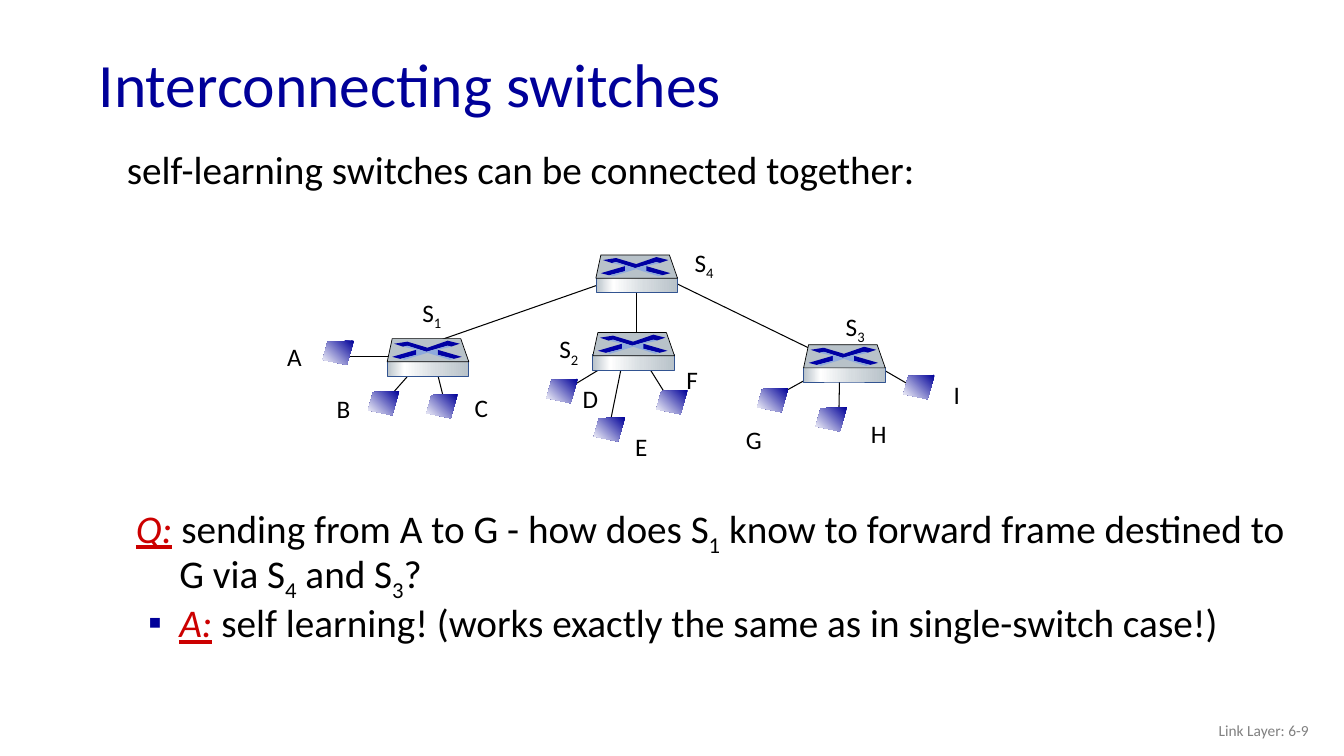
"""Build the slide on interconnecting self-learning switches."""
from dataclasses import dataclass
from typing import NamedTuple

from lxml.etree import SubElement
from pptx import Presentation
from pptx.dml.color import RGBColor
from pptx.enum.shapes import MSO_CONNECTOR as CONN, MSO_SHAPE as SHAPE
from pptx.enum.text import MSO_ANCHOR as ANCHOR, MSO_AUTO_SIZE as AUTO, PP_ALIGN as ALIGN
from pptx.oxml.ns import qn
from pptx.util import Pt

PX = 9144
COLORS = {
    "navy": "000099", "black": "000000", "gray": "808080", "red": "CC0000",
    "white": "FFFFFF", "steel": "B8C2C9", "silver": "D6DCE0", "edge": "325491",
    "arrow": "0000A3", "left_arrow": "0000A8", "band": "8FAADC",
}
Points = list[tuple[int, int]]
Stops = list[tuple[int, str]]


class Run(NamedTuple):
    text: str
    color: str = "black"
    lead: bool = False
    sub: bool = False


class Para(NamedTuple):
    runs: list[Run]
    hang: tuple[int, int] = (0, 0)
    bullet: str = ""
    before: float = 0


@dataclass
class TextBox:
    box: tuple[int, int, int, int]
    paras: list[Para]
    size: int
    spacing: float = 1.0
    anchor: ANCHOR = ANCHOR.TOP
    align: ALIGN = ALIGN.LEFT
    wrap: bool = True


class Label(NamedTuple):
    x: int
    y: int
    width: int
    text: str


class Link(NamedTuple):
    x1: int
    y1: int
    x2: int
    y2: int


class Part(NamedTuple):
    points: Points
    color: str
    outline: str = ""


TEXTS = [
    TextBox((88, 38, 1150, 98), [Para([Run("Interconnecting switches", "navy")])],
            44, 0.9, ANCHOR.MIDDLE),
    TextBox((1008, 705, 300, 40), [Para([Run("Link Layer: 6-9", "gray")])],
            11, 1.0, ANCHOR.MIDDLE, ALIGN.RIGHT),
    TextBox((116, 146, 862, 75),
            [Para([Run("self-learning switches can be connected together:")])], 28, 0.85),
    TextBox((118, 498, 1175, 183), [
        Para([Run("Q:", "red", lead=True), Run(" sending from A to G - how does S"),
              Run("1", sub=True), Run(" know to forward frame destined to G via S"),
              Run("4", sub=True), Run(" and S"), Run("3", sub=True), Run("?")], (50, -43)),
        Para([Run("A:", "red", lead=True),
              Run(" self learning! (works exactly the same as in single-switch case!)")],
             (50, -31), "▪", 5.6),
    ], 28, 0.85),
]
LABELS = [
    Label(275, 334, 35, "A"), Label(324, 385, 34, "B"), Label(461, 384, 34, "C"),
    Label(568, 375, 36, "D"), Label(620, 423, 32, "E"), Label(671, 357, 32, "F"),
    Label(730, 416, 36, "G"), Label(854, 410, 36, "H"), Label(936, 371, 27, "I"),
    Label(409, 290, 40, "S1"), Label(545, 326, 40, "S2"),
    Label(829, 304, 40, "S3"), Label(679, 240, 40, "S4"),
]
LINKS = [
    Link(404, 354, 344, 354), Link(416, 360, 386, 394), Link(432, 363, 440, 395),
    Link(607, 359, 569, 382), Link(617, 361, 604, 425), Link(637, 354, 662, 394),
    Link(824, 363, 777, 389), Link(833, 360, 832, 411), Link(873, 365, 904, 383),
    Link(598, 281, 432, 339), Link(631, 277, 631, 343), Link(812, 350, 658, 275),
]
HOSTS = [(320, 338), (365, 388), (423, 391), (542, 376), (589, 414),
         (651, 387), (751, 385), (809, 404), (896, 372)]
SWITCHES = [(591, 253), (797, 342), (588, 330), (384, 336)]
HOST_OUTLINE = [(31, 0), (5, 1), (0, 19), (24, 24)]
SWITCH_PARTS = [
    Part([(0, 23), (5, 0), (73, 0), (81, 23)], "steel", "black"),
    Part([(60, 2), (72, 5), (63, 8), (60, 7), (39, 13), (20, 7), (16, 8),
          (7, 5), (20, 3), (40, 9)], "arrow"),
    Part([(50, 11), (74, 18), (66, 20), (50, 16)], "arrow"),
    Part([(29, 11), (29, 16), (13, 20), (5, 18)], "left_arrow"),
    Part([(16, 8), (20, 7), (39, 13), (60, 7), (64, 8), (50, 11), (50, 16), (66, 20),
          (62, 21), (40, 14), (17, 21), (14, 20), (29, 16), (29, 11)], "band"),
]
HOST_STOPS = [(0, "navy"), (100, "white")]
BASE_STOPS = [(0, "steel"), (21, "white"), (60, "silver"), (100, "steel")]


def rgb(name: str) -> RGBColor:
    return RGBColor.from_string(COLORS[name])


def set_all(obj, values: dict) -> None:
    for name, value in values.items():
        setattr(obj, name, value)


def add_text(s, t: TextBox) -> None:
    tf = s.shapes.add_textbox(*(v * PX for v in t.box)).text_frame
    set_all(tf, {"auto_size": AUTO.NONE if t.wrap else AUTO.SHAPE_TO_FIT_TEXT,
                 "word_wrap": t.wrap, "vertical_anchor": t.anchor})
    for i, para in enumerate(t.paras):
        p = tf.add_paragraph() if i else tf.paragraphs[0]
        set_all(p, {"alignment": t.align, "line_spacing": t.spacing})
        if para.before:
            p.space_before = Pt(para.before)
        pPr = p._p.get_or_add_pPr()
        for name, value in zip(("marL", "indent"), para.hang):
            pPr.set(name, str(value * PX))
        if para.bullet:
            clr = SubElement(pPr, qn("a:buClr"))
            SubElement(clr, qn("a:srgbClr"), val=COLORS["navy"])
            SubElement(pPr, qn("a:buFont"), typeface="Arial")
            SubElement(pPr, qn("a:buChar"), char=para.bullet)
        for run in para.runs:
            r = p.add_run()
            r.text = run.text
            set_all(r.font, {"name": "Calibri", "size": Pt(t.size),
                             "italic": run.lead, "underline": run.lead})
            r.font.color.rgb = rgb(run.color)
            if run.sub:
                r._r.get_or_add_rPr().set("baseline", "-25000")


def add_label(s, label: Label) -> None:
    runs = [Run(c, sub=c.isdigit()) for c in label.text]
    box = (label.x, label.y, label.width, 40)
    add_text(s, TextBox(box, [Para(runs)], 18, wrap=False))


def add_link(s, link: Link) -> None:
    c = s.shapes.add_connector(CONN.STRAIGHT, *(v * PX for v in link))
    c.line.width = Pt(0.75)
    c.line.color.rgb = rgb("black")
    SubElement(c._element.spPr, qn("a:effectLst"))


def add_outline(s, x: int, y: int, points: Points):
    pts = [(x + dx, y + dy) for dx, dy in points]
    fb = s.shapes.build_freeform(*pts[0], scale=PX)
    fb.add_line_segments(pts[1:], close=True)
    return fb.convert_to_shape()


def set_outline(sp, color: str) -> None:
    sp.shadow.inherit = False
    if color:
        sp.line.color.rgb = rgb(color)
        sp.line.width = Pt(0.5)
    else:
        sp.line.fill.background()


def set_gradient(sp, stops: Stops, angle: int) -> None:
    sp.fill.gradient()
    sp.fill.gradient_angle = angle
    gs_list = sp._element.spPr.find(".//" + qn("a:gsLst"))
    for gs in list(gs_list):
        gs_list.remove(gs)
    for pos, color in stops:
        gs = SubElement(gs_list, qn("a:gs"), pos=str(pos * 1000))
        SubElement(gs, qn("a:srgbClr"), val=COLORS[color])


def add_host(s, x: int, y: int) -> None:
    sp = add_outline(s, x, y, HOST_OUTLINE)
    set_gradient(sp, HOST_STOPS, 225)
    set_outline(sp, "")


def add_switch(s, x: int, y: int) -> None:
    base = s.shapes.add_shape(SHAPE.RECTANGLE, x * PX, (y + 22) * PX, 81 * PX, 15 * PX)
    set_gradient(base, BASE_STOPS, 0)
    set_outline(base, "edge")
    for part in SWITCH_PARTS:
        sp = add_outline(s, x, y, part.points)
        sp.fill.solid()
        sp.fill.fore_color.rgb = rgb(part.color)
        set_outline(sp, part.outline)


def main() -> None:
    prs = Presentation()
    set_all(prs, {"slide_width": 1333 * PX, "slide_height": 750 * PX})
    s = prs.slides.add_slide(prs.slide_layouts[6])
    for t in TEXTS:
        add_text(s, t)
    for link in LINKS:
        add_link(s, link)
    for label in LABELS:
        add_label(s, label)
    for x, y in HOSTS:
        add_host(s, x, y)
    for x, y in SWITCHES:
        add_switch(s, x, y)
    prs.save("out.pptx")


if __name__ == "__main__":
    main()
